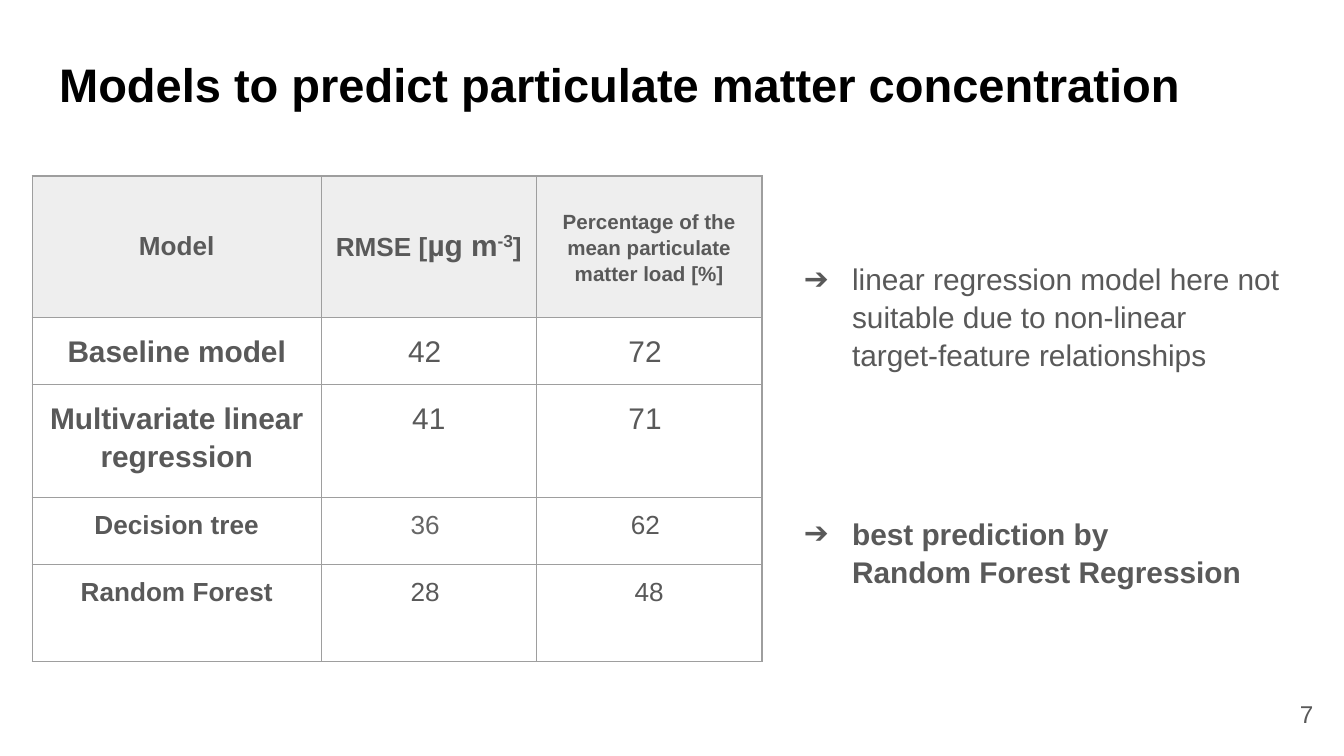
from dataclasses import dataclass

from lxml import etree
from pptx import Presentation
from pptx.dml.color import RGBColor
from pptx.enum.text import MSO_ANCHOR, MSO_AUTO_SIZE, PP_ALIGN
from pptx.oxml.ns import qn
from pptx.util import Inches, Pt

LEFT, CENTER, RIGHT = PP_ALIGN.LEFT, PP_ALIGN.CENTER, PP_ALIGN.RIGHT
TOP, MIDDLE = MSO_ANCHOR.TOP, MSO_ANCHOR.MIDDLE
NO_AUTOFIT = MSO_AUTO_SIZE.NONE


@dataclass(frozen=True)
class Theme:
    """Colours, font and type sizes of the slide."""
    font: str = "Arial"
    title_color: str = "000000"
    text_color: str = "595959"
    soft_color: str = "666666"
    border_color: str = "9E9E9E"
    header_fill: str = "EEEEEE"
    title_size: float = 25.2
    large: int = 16
    medium: int = 14
    number: int = 13
    small: int = 11


THEME = Theme()
COLUMN_WIDTHS = (2.15, 1.6, 1.68)
ROW_HEIGHTS = (1.05, 0.5, 0.84, 0.5, 0.72)
HEADER = (
    (("Model", THEME.medium, 0),),
    (("RMSE [", THEME.medium, 0), ("µg m", THEME.large, 0),
     ("-3", THEME.large, 30), ("]", THEME.medium, 0)),
    (("Percentage of the mean particulate matter load [%]", THEME.small, 0),),
)
MODEL_ROWS = (
    ("Baseline model", "42 ", "72 "),
    ("Multivariate linear regression", "41", "71 "),
    ("Decision tree", "36 ", "62 "),
    ("Random Forest", "28 ", "48"),
)
FINDINGS = (
    ("linear regression model here not \nsuitable due to non-linear \n"
     "target-feature relationships", False, 0),
    ("best prediction by \nRandom Forest Regression", True, 76),
)


def add_text(paragraph, text, size=THEME.large, color=THEME.text_color, bold=False,
             align=LEFT, baseline=0, spacing=None, before=None, after=None):
    """Append formatted text to a paragraph, breaking lines at newlines."""
    paragraph.alignment = align
    paragraph.line_spacing = spacing
    if before is not None:
        paragraph.space_before = Pt(before)
    if after is not None:
        paragraph.space_after = Pt(after)
    for index, line in enumerate(text.split("\n")):
        if index:
            paragraph.add_line_break()
        run = paragraph.add_run()
        run.text = line
        run.font.name = THEME.font
        run.font.size = Pt(size)
        run.font.bold = bold
        run.font.color.rgb = RGBColor.from_string(color)
        if baseline:
            run.font._element.set("baseline", str(baseline * 1000))


def prepare_frame(shape, box, anchor=TOP, margin_top=0.1):
    """Place a text shape in its box and return its cleaned text frame."""
    shape.left, shape.top, shape.width, shape.height = map(Inches, box)
    frame = shape.text_frame
    frame.word_wrap = True
    frame.auto_size = NO_AUTOFIT
    frame.vertical_anchor = anchor
    frame.margin_left = frame.margin_right = frame.margin_bottom = Inches(0.1)
    frame.margin_top = Inches(margin_top)
    return frame


def set_arrow_bullet(paragraph):
    """Give a paragraph a hanging arrow bullet."""
    properties = paragraph._p.get_or_add_pPr()
    properties.set("marL", str(Inches(0.5)))
    properties.set("indent", str(Inches(-0.36)))
    color = etree.SubElement(properties, qn("a:buClr"))
    etree.SubElement(color, qn("a:srgbClr"), val=THEME.text_color)
    etree.SubElement(properties, qn("a:buFont"), typeface=THEME.font)
    etree.SubElement(properties, qn("a:buChar"), char="➔")


def format_cell(cell, fill=None, anchor=TOP):
    """Set the margins, borders and fill of a table cell."""
    cell.margin_left = cell.margin_right = Inches(0.1)
    cell.margin_top = cell.margin_bottom = Inches(0.1)
    cell.vertical_anchor = anchor
    properties = cell._tc.get_or_add_tcPr()
    for side in ("a:lnL", "a:lnR", "a:lnT", "a:lnB"):
        line = etree.SubElement(properties, qn(side), w=str(Pt(0.75)))
        solid = etree.SubElement(line, qn("a:solidFill"))
        etree.SubElement(solid, qn("a:srgbClr"), val=THEME.border_color)
    if fill:
        cell.fill.solid()
        cell.fill.fore_color.rgb = RGBColor.from_string(fill)
    else:
        cell.fill.background()


def build_title(slide, box):
    """Fill the title placeholder."""
    frame = prepare_frame(slide.shapes.title, box)
    add_text(frame.paragraphs[0], "Models to predict particulate matter concentration",
             size=THEME.title_size, color=THEME.title_color, bold=True)


def build_model_table(slide, left, top):
    """Add the table that compares the errors of the models."""
    table = slide.shapes.add_table(
        len(ROW_HEIGHTS), len(COLUMN_WIDTHS), Inches(left), Inches(top),
        Inches(sum(COLUMN_WIDTHS)), Inches(sum(ROW_HEIGHTS))).table
    table.first_row = table.horz_banding = False
    for column, width in zip(table.columns, COLUMN_WIDTHS):
        column.width = Inches(width)
    for row, height in zip(table.rows, ROW_HEIGHTS):
        row.height = Inches(height)
    roomy = {"spacing": 1.15, "after": 12}
    for column_index, pieces in enumerate(HEADER):
        cell = table.cell(0, column_index)
        format_cell(cell, fill=THEME.header_fill, anchor=MIDDLE)
        layout = roomy if column_index == 2 else {}
        for text, size, baseline in pieces:
            add_text(cell.text_frame.paragraphs[0], text, size=size, bold=True,
                     align=CENTER, baseline=baseline, **layout)
    for row_index, values in enumerate(MODEL_ROWS, start=1):
        is_large = row_index <= 2
        for column_index, value in enumerate(values):
            cell = table.cell(row_index, column_index)
            format_cell(cell)
            add_text(cell.text_frame.paragraphs[0], value,
                     size=THEME.large if is_large else THEME.medium,
                     color=THEME.soft_color if value == "36 " else THEME.text_color,
                     bold=column_index == 0, align=CENTER,
                     **(roomy if is_large else {}))


def build_findings(slide, box):
    """Fill the body placeholder with the arrow list."""
    frame = prepare_frame(slide.placeholders[1], box, margin_top=0.53)
    for index, (text, bold, before) in enumerate(FINDINGS):
        paragraph = frame.add_paragraph() if index else frame.paragraphs[0]
        add_text(paragraph, text, bold=bold, spacing=1.05, before=before)
        set_arrow_bullet(paragraph)


def build_slide_number(slide, box):
    """Add the slide number."""
    frame = prepare_frame(slide.shapes.add_textbox(0, 0, 0, 0), box, anchor=MIDDLE)
    add_text(frame.paragraphs[0], "7", size=THEME.number, align=RIGHT)


def main():
    """Build and save the presentation."""
    presentation = Presentation()
    presentation.slide_width = Inches(10)
    presentation.slide_height = Inches(10) * 9 // 16
    slide = presentation.slides.add_slide(presentation.slide_layouts[1])
    build_title(slide, (0.34, 0.31, 9.32, 0.63))
    build_slide_number(slide, (9.27, 5.1, 0.6, 0.43))
    build_model_table(slide, 0.24, 1.31)
    build_findings(slide, (5.74, 1.4, 4.03, 3.94))
    presentation.save("out.pptx")


if __name__ == "__main__":
    main()
